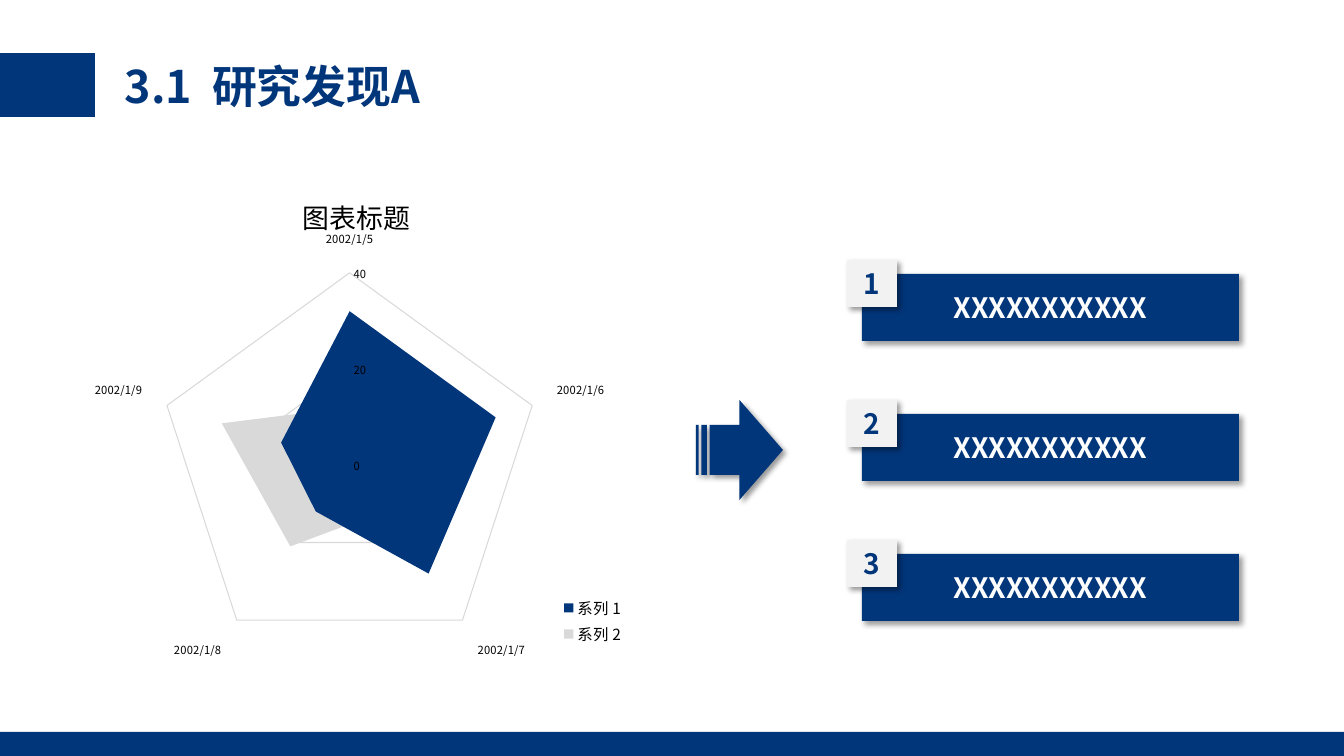
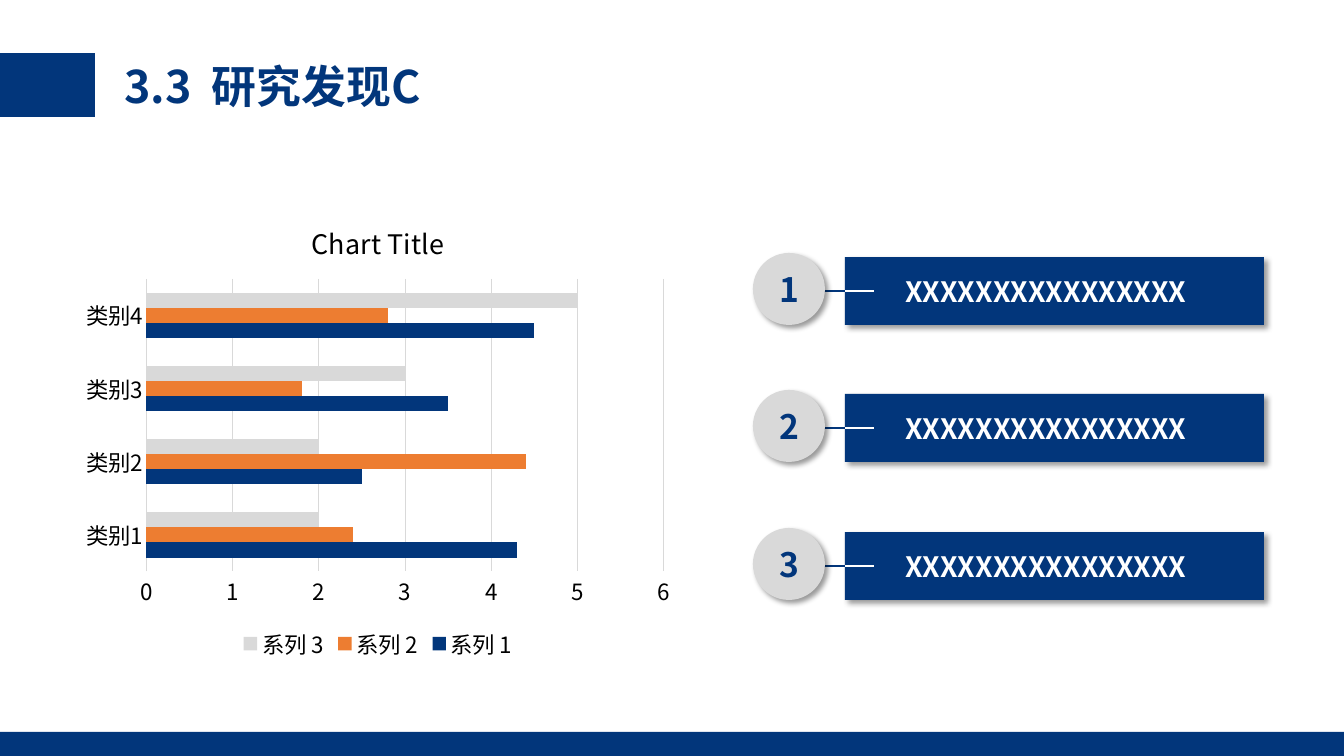
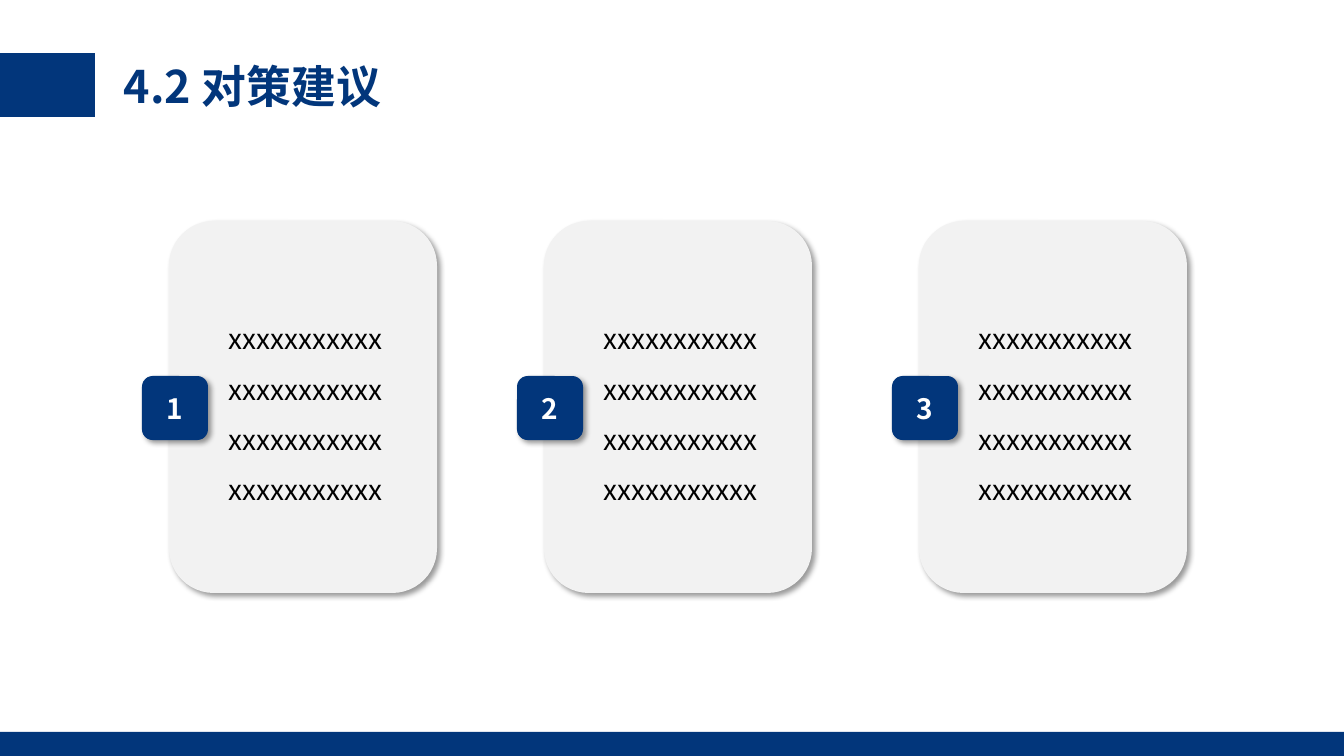
import pptx
import pptx.chart.data
import pptx.dml.color
import pptx.enum.chart
import pptx.enum.shapes
import pptx.enum.text
import pptx.oxml
import pptx.oxml.ns
import pptx.util
from lxml import etree

SHAPE = pptx.enum.shapes.MSO_SHAPE
CHART = pptx.enum.chart.XL_CHART_TYPE
LEGEND = pptx.enum.chart.XL_LEGEND_POSITION
ALIGN = pptx.enum.text.PP_ALIGN
ANCHOR = pptx.enum.text.MSO_ANCHOR
qn = pptx.oxml.ns.qn

NAVY, ORANGE, SILVER = "02367B", "ED7D31", "D9D9D9"
PALE, WHITE, BLACK = "F2F2F2", "FFFFFF", "000000"
FONT = "Noto Sans CJK SC"


def px(length):
    return pptx.util.Emu(round(length * 914400 / 100.8))


def rgb(code):
    return pptx.dml.color.RGBColor.from_string(code)


class Deck:
    """Draws the deck in one shared style, one slide at a time."""

    def __init__(self):
        self.presentation = pptx.Presentation()
        self.presentation.slide_width = px(1344)
        self.presentation.slide_height = px(756)
        self.slide = None

    def start_slide(self, number, heading, left, width, gap=0):
        self.slide = self.presentation.slides.add_slide(self.presentation.slide_layouts[6])
        self.block(SHAPE.RECTANGLE, 0, 732, 1344, 24, NAVY, shadow=False)
        self.block(SHAPE.RECTANGLE, 0, 53, 95, 64, NAVY, shadow=False)
        title = self.block(SHAPE.RECTANGLE, left, 54, width, 64, WHITE, shadow=False)
        self.label(title, [(number, 0), (" ", gap), (heading, 0)], 32, NAVY, anchor=ANCHOR.TOP)
        title.text_frame.word_wrap = False

    def block(self, preset, left, top, width, height, fill, shadow=True):
        block = self.slide.shapes.add_shape(preset, px(left), px(top), px(width), px(height))
        block.fill.solid()
        block.fill.fore_color.rgb = rgb(fill)
        block.line.fill.background()
        block.shadow.inherit = False
        if shadow:
            effects = block.element.spPr.find(qn("a:effectLst"))
            effects.append(pptx.oxml.parse_xml(
                '<a:outerShdw xmlns:a="http://schemas.openxmlformats.org/drawingml/2006/main" '
                'blurRad="50800" dist="38100" dir="2700000" algn="tl" rotWithShape="0">'
                '<a:srgbClr val="000000"><a:alpha val="40000"/></a:srgbClr></a:outerShdw>'))
        return block

    def textbox(self, left, top, width, height):
        return self.slide.shapes.add_textbox(px(left), px(top), px(width), px(height))

    def label(self, holder, pieces, size, color, bold=True, align=ALIGN.CENTER,
              anchor=ANCHOR.MIDDLE, level=0, spacing=None):
        frame = holder.text_frame
        frame.word_wrap = True
        frame.vertical_anchor = anchor
        paragraph = frame.paragraphs[0]
        paragraph.alignment = align
        paragraph.level = level
        if spacing:
            paragraph.line_spacing = spacing
        for words, tracking in pieces:
            run = paragraph.add_run()
            run.text = words
            self.style(run.font, size, color, bold)
            if tracking:
                run._r.get_or_add_rPr().set("spc", str(tracking * 100))
        self.add_east_asian(holder.element)

    def style(self, font, size, color=BLACK, bold=False):
        font.size = pptx.util.Pt(size)
        font.bold = bold
        font.color.rgb = rgb(color)
        font.name = FONT

    def add_east_asian(self, element):
        for latin in list(element.iter(qn("a:latin"))):
            east_asian = etree.Element(qn("a:ea"))
            east_asian.set("typeface", FONT)
            latin.addnext(east_asian)

    def line(self, start, end, y, color):
        line = self.slide.shapes.add_connector(
            pptx.enum.shapes.MSO_CONNECTOR.STRAIGHT, px(start), px(y), px(end), px(y))
        line.line.color.rgb = rgb(color)
        line.line.width = pptx.util.Pt(2)
        etree.SubElement(line.element.spPr, qn("a:effectLst"))
        return line

    def chart(self, kind, box, title, categories, series, size, legend, legend_size,
              top_value, step, number_format="General"):
        data = pptx.chart.data.CategoryChartData()
        data.categories = categories
        data.categories.number_format = number_format
        for name, values, _ in series:
            data.add_series(name, values)
        chart = self.slide.shapes.add_chart(kind, *map(px, box), data).chart
        self.style(chart.font, size)
        plot = chart.plots[0]
        plot.vary_by_categories = False
        for drawn, (_, _, color) in zip(plot.series, series):
            drawn.format.fill.solid()
            drawn.format.fill.fore_color.rgb = rgb(color)
            drawn.format.line.fill.background()

        chart.has_title = True
        heading = chart.chart_title.text_frame.paragraphs[0].add_run()
        heading.text = title
        self.style(heading.font, 19.2)

        chart.has_legend = True
        chart.legend.position = legend
        chart.legend.include_in_layout = False
        self.style(chart.legend.font, legend_size)

        for axis in (chart.category_axis, chart.value_axis):
            axis.major_tick_mark = axis.minor_tick_mark = pptx.enum.chart.XL_TICK_MARK.NONE
            self.style(axis.tick_labels.font, size)
        chart.category_axis.has_major_gridlines = False
        chart.category_axis.tick_labels.number_format = number_format
        chart.category_axis.tick_labels.number_format_is_linked = False
        chart.value_axis.has_major_gridlines = True
        chart.value_axis.minimum_scale = 0
        chart.value_axis.maximum_scale = top_value
        chart.value_axis.major_unit = step
        chart.value_axis.format.line.fill.background()
        for rule in (chart.category_axis.format.line, chart.value_axis.major_gridlines.format.line):
            rule.color.rgb = rgb(SILVER)
            rule.width = pptx.util.Pt(0.75)
        self.add_east_asian(chart.element)
        return chart

    def place(self, chart, part, **position):
        parent = next(chart.element.iter(qn(part)))
        layout = parent.find(qn("c:layout"))
        if layout is None:
            layout = etree.Element(qn("c:layout"))
            overlay = parent.find(qn("c:overlay"))
            if overlay is None:
                parent.insert(0, layout)
            else:
                overlay.addprevious(layout)
        manual = etree.SubElement(layout, qn("c:manualLayout"))
        settings = {"xMode": "edge", "yMode": "edge", **position}
        if part == "c:plotArea":
            settings = {"layoutTarget": "inner", **settings}
        for name, value in settings.items():
            etree.SubElement(manual, qn("c:" + name)).set("val", str(value))


def draw_finding_a(deck):
    deck.start_slide("3.1", "研究发现A", 95, 355, gap=7)
    radar = deck.chart(
        CHART.RADAR_FILLED, (82, 168, 582, 512), "图表标题",
        [37261, 37262, 37263, 37264, 37265],
        [("系列 1", (32, 32, 28, 12, 15), NAVY), ("系列 2", (12, 12, 12, 21, 28), SILVER)],
        8, LEGEND.RIGHT, 11, 40, 20, "yyyy/m/d")
    deck.place(radar, "c:title", x=0.37, y=0.04)
    deck.place(radar, "c:plotArea", x=0.13, y=0.2, w=0.66, h=0.76)
    deck.place(radar, "c:legend", x=0.82, y=0.83)
    deck.block(SHAPE.STRIPED_RIGHT_ARROW, 696, 400, 87, 100, NAVY)
    for index in range(3):
        top = 260 + 140 * index
        finding = deck.block(SHAPE.RECTANGLE, 862, top + 14, 377, 67, NAVY)
        deck.label(finding, [("XXXXXXXXXXX", 0)], 20, WHITE)
        badge = deck.block(SHAPE.RECTANGLE, 847, top, 50, 47, PALE)
        deck.label(badge, [(str(index + 1), 0)], 20, NAVY)


def draw_finding_c(deck):
    deck.start_slide("3.3", "研究发现C", 95, 355, gap=7)
    bars = deck.chart(
        CHART.BAR_CLUSTERED, (74, 200, 608, 464), "Chart Title",
        ["类别1", "类别2", "类别3", "类别4"],
        [("系列 1", (4.3, 2.5, 3.5, 4.5), NAVY), ("系列 2", (2.4, 4.4, 1.8, 2.8), ORANGE),
         ("系列 3", (2, 2, 3, 5), SILVER)],
        16, LEGEND.BOTTOM, 16, 6, 1)
    bars.plots[0].gap_width = 182
    for index in range(3):
        middle = 291 + 275 * index // 2
        finding = deck.block(SHAPE.RECTANGLE, 845, middle - 34, 419, 68, NAVY)
        deck.label(finding, [("XXXXXXXXXXXXXXXX", 0)], 20, WHITE, align=ALIGN.LEFT, level=1)
        deck.line(840, 874, middle, WHITE)
        deck.line(810, 845, middle, NAVY).end_connect(finding, 1)
        badge = deck.block(SHAPE.OVAL, 753, middle - 38, 72, 72, SILVER)
        deck.label(badge, [(str(index + 1), 0)], 24, NAVY)


def draw_advice(deck):
    deck.start_slide("4.2", "对策建议", 104, 297)
    for index in range(3):
        left = 142 + 375 * index
        deck.block(SHAPE.ROUNDED_RECTANGLE, left + 27, 221, 268, 372, PALE)
        badge = deck.block(SHAPE.ROUNDED_RECTANGLE, left, 376, 66, 64, NAVY)
        deck.label(badge, [(str(index + 1), 0)], 20, WHITE)
        advice = deck.textbox(left + 77, 300, 181, 214)
        deck.label(advice, [("x" * 44, 0)], 20, BLACK, bold=False, align=ALIGN.LEFT,
                   anchor=ANCHOR.TOP, spacing=1.5)


def main():
    deck = Deck()
    draw_finding_a(deck)
    draw_finding_c(deck)
    draw_advice(deck)
    deck.presentation.save("out.pptx")


if __name__ == "__main__":
    main()
